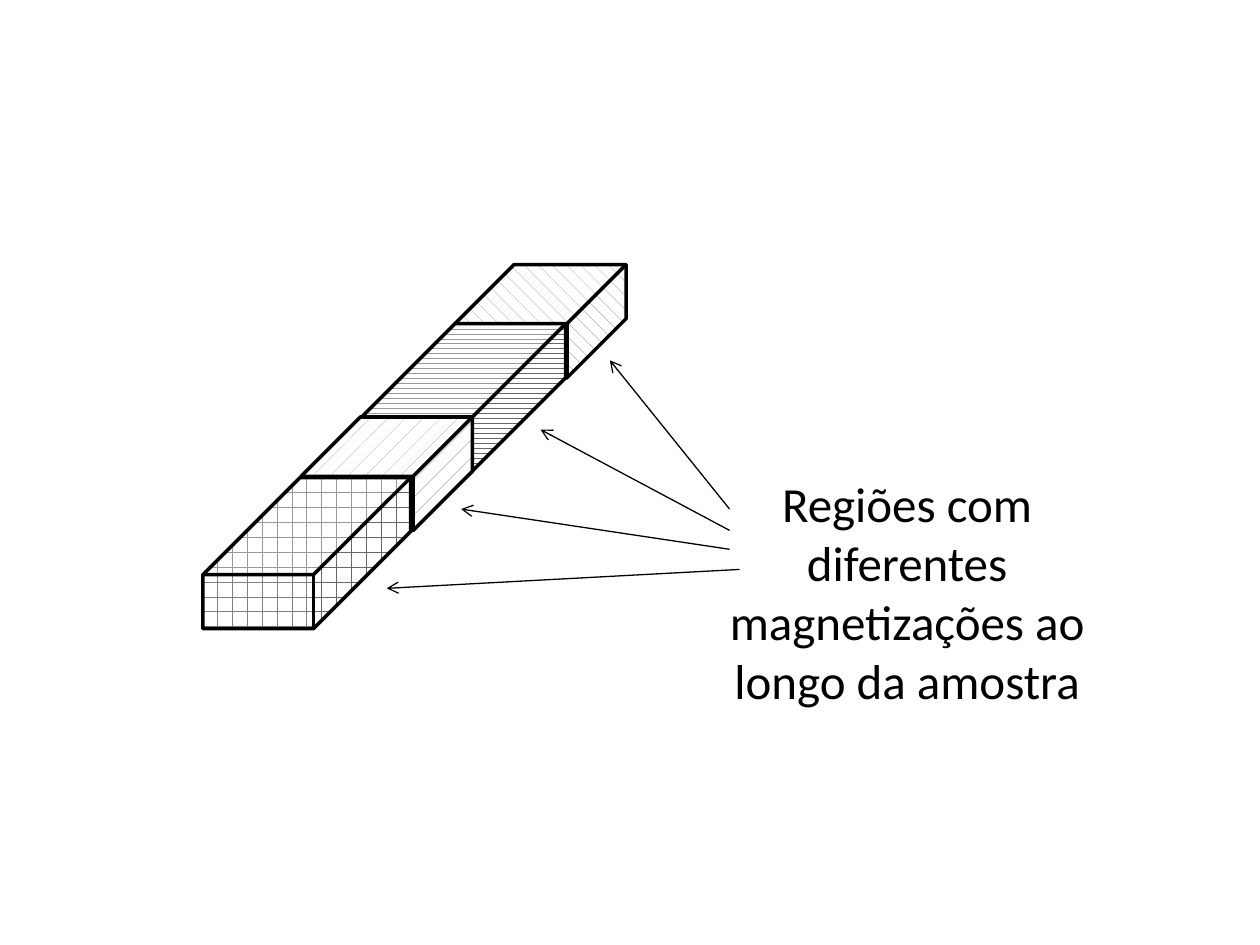
"""Build a slide of a bar sample with regions of different magnetization."""
from lxml import etree
from pptx import Presentation
from pptx.dml.color import RGBColor
from pptx.enum import dml, shapes, text
from pptx.oxml.ns import qn
from pptx.util import Pt

COLORS = {"ink": "000000", "hatch": "808080", "paper": "FFFFFF"}
CAPTION = "Regiões com diferentes magnetizações ao longo da amostra"
CAPTION_BOX = (393.8, 267.1, 249.1, 143.3)
SHORT = (97.9, 64.8, 0.523)
LONG = (118.8, 86.4, 0.643)
REGIONS = [
    (259.9, 151.2, SHORT, dml.MSO_PATTERN.SHINGLE),
    (204.5, 185, LONG, dml.MSO_PATTERN.WAVE),
    (172.1, 238.3, SHORT, dml.MSO_PATTERN.PERCENT_5),
    (115.9, 272.9, LONG, dml.MSO_PATTERN.HORIZONTAL_BRICK),
]
POINTERS = [
    ((416.9, 290.9), (348.5, 205.9)),
    ((416.9, 303.1), (308.9, 245.5)),
    ((416.9, 313.9), (263.5, 290.9)),
    ((422.6, 325.4), (221, 336.2)),
]


def color(name):
    return RGBColor.from_string(COLORS[name])


def points(*values):
    return [Pt(value) for value in values]


def draw_line(line, width):
    line.color.rgb = color("ink")
    line.width = Pt(width)


def add_region(bar, left, top, size, pattern):
    width, height, depth = size
    region = bar.shapes.add_shape(
        shapes.MSO_SHAPE.CUBE, *points(left, top, width, height))
    region.adjustments[0] = depth
    region.shadow.inherit = False
    region.fill.patterned()
    region.fill.pattern = pattern
    region.fill.fore_color.rgb = color("hatch")
    region.fill.back_color.rgb = color("paper")
    draw_line(region.line, 2)


def add_pointer(slide, start, end):
    pointer = slide.shapes.add_connector(
        shapes.MSO_CONNECTOR.STRAIGHT, *points(*start, *end))
    draw_line(pointer.line, 0.75)
    outline = pointer.line._get_or_add_ln()
    etree.SubElement(outline, qn("a:tailEnd"), type="arrow")
    etree.SubElement(pointer._element.spPr, qn("a:effectLst"))


def add_text(slide, wording, box, *, size, font="Calibri", ink="ink",
             align=text.PP_ALIGN.CENTER):
    frame = slide.shapes.add_textbox(*points(*box)).text_frame
    frame.word_wrap = True
    frame.auto_size = text.MSO_AUTO_SIZE.SHAPE_TO_FIT_TEXT
    paragraph = frame.paragraphs[0]
    paragraph.alignment = align
    run = paragraph.add_run()
    run.text = wording
    run.font.name = font
    run.font.size = Pt(size)
    run.font.color.rgb = color(ink)


def main():
    deck = Presentation()
    deck.slide_width, deck.slide_height = points(720, 540)
    slide = deck.slides.add_slide(deck.slide_layouts[6])
    bar = slide.shapes.add_group_shape()
    for region in REGIONS:
        add_region(bar, *region)
    add_text(slide, CAPTION, CAPTION_BOX, size=28)
    for start, end in POINTERS:
        add_pointer(slide, start, end)
    deck.save("out.pptx")


main()
